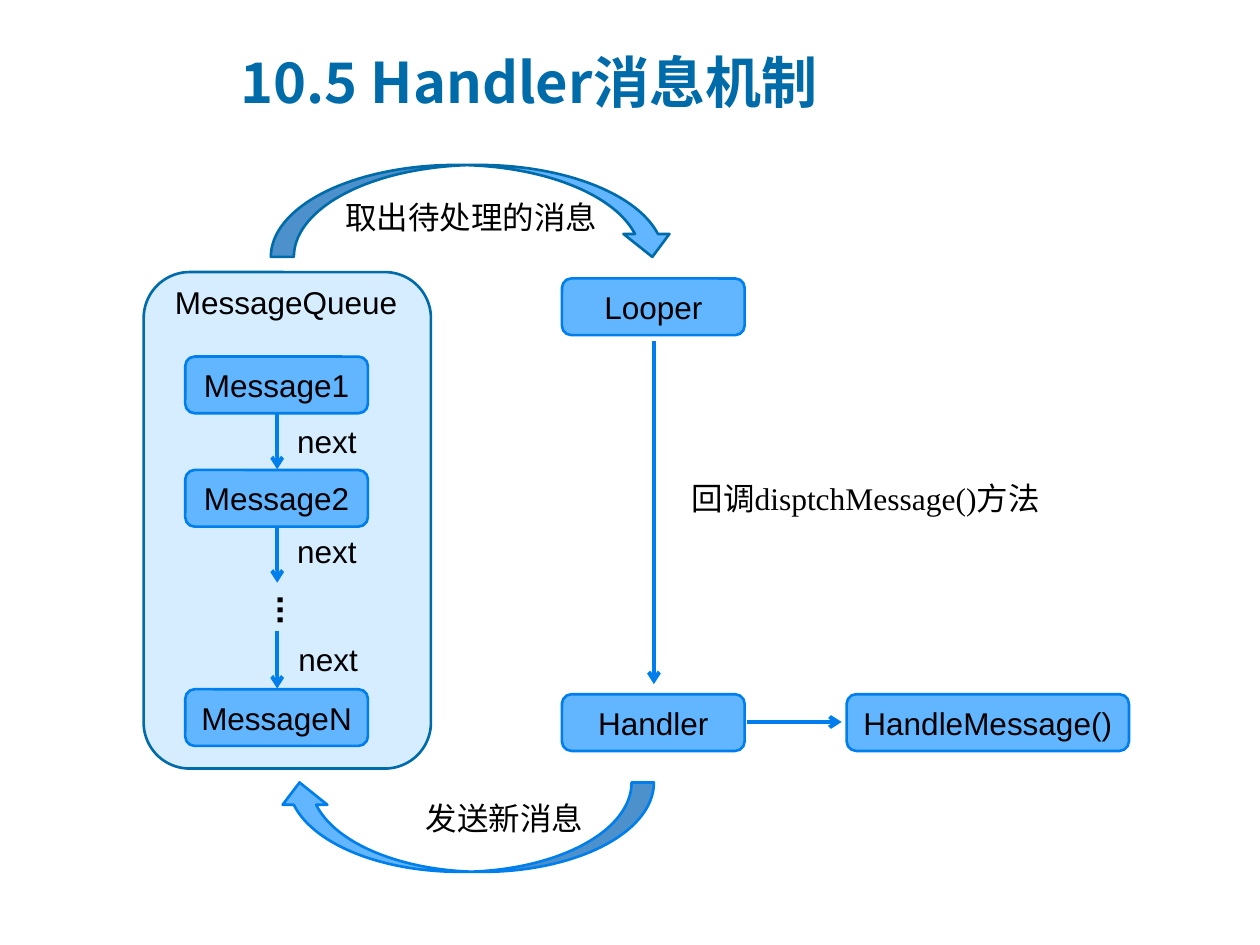
from dataclasses import dataclass

from lxml.etree import SubElement
from pptx import Presentation
from pptx.dml.color import RGBColor
from pptx.enum.shapes import MSO_CONNECTOR, MSO_SHAPE
from pptx.enum.text import MSO_ANCHOR, MSO_AUTO_SIZE, PP_ALIGN
from pptx.oxml.ns import qn
from pptx.slide import Slide
from pptx.text.text import TextFrame
from pptx.util import Inches, Pt


@dataclass(frozen=True)
class Theme:
    """Colours, fonts and type sizes of the slide."""
    dark: RGBColor = RGBColor(0x00, 0x6B, 0xA9)
    bright: RGBColor = RGBColor(0x00, 0x7E, 0xEB)
    node: RGBColor = RGBColor(0x61, 0xB6, 0xFF)
    panel: RGBColor = RGBColor(0xD6, 0xEC, 0xFF)
    ink: RGBColor = RGBColor(0x00, 0x00, 0x00)
    latin: str = "Arial"
    serif: str = "Times New Roman"
    asian: str = "Noto Sans CJK SC"
    title_size: int = 32
    body_size: int = 18
    dots_size: int = 20
    outline: float = 1.5
    arrow: float = 2.25


@dataclass(frozen=True)
class Box:
    """A rectangle in grid columns and rows."""
    column: float
    row: float
    columns: float
    rows: float


@dataclass(frozen=True)
class Node:
    """A rounded box with a centred name."""
    name: str
    column: float
    row: float
    columns: float = 14.5


@dataclass(frozen=True)
class Label:
    """A free text made of (text, font) runs."""
    runs: tuple[tuple[str, str], ...]
    box: Box
    wraps: bool = False


@dataclass(frozen=True)
class Arrow:
    """A straight arrow between two grid points."""
    start: tuple[float, float]
    end: tuple[float, float]


THEME = Theme()
GRID_COLUMNS, GRID_ROWS = 100, 75
CELL = Inches(0.1)
NODE_ROWS = 4.5
QUEUE_COLUMN, LOOP_COLUMN = 14.7, 44.6
QUEUE_AXIS, LOOP_AXIS = 22, 51.9

NODES = (
    Node("Message1", QUEUE_COLUMN, 28.3),
    Node("Message2", QUEUE_COLUMN, 37.3),
    Node("MessageN", QUEUE_COLUMN, 54.7),
    Node("Looper", LOOP_COLUMN, 22.1),
    Node("Handler", LOOP_COLUMN, 55.1),
    Node("HandleMessage()", 67.2, 55.1, 22.4),
)
ARROWS = (
    *(Arrow((QUEUE_AXIS, row), (QUEUE_AXIS, row + 4.55)) for row in (32.7, 41.7, 50.1)),
    Arrow((LOOP_AXIS, 27.1), (LOOP_AXIS, 54.3)),
    Arrow((59.3, 57.3), (66.8, 57.3)),
)
LABELS = (
    *(Label((("next", THEME.latin),), Box(column, row, 6.8, 4))
      for column, row in ((22.6, 33), (22.6, 41.7), (22.7, 50.3))),
    Label((("MessageQueue", THEME.latin),), Box(12.9, 22, 19.8, 4)),
    Label((("回", THEME.latin), ("调disptchMessage()", THEME.serif), ("方法", THEME.latin)),
          Box(53.9, 37.5, 29.9, 4), True),
    Label((("发送新消息", THEME.latin),), Box(32.8, 62.9, 14.6, 4)),
    Label((("取出待处理的消息", THEME.latin),), Box(26.4, 15.2, 22.2, 4)),
)


def place(box: Box) -> tuple[int, int, int, int]:
    """Turn a grid box into slide lengths."""
    return tuple(round(cells * CELL) for cells in (box.column, box.row, box.columns, box.rows))


def add_run(frame: TextFrame, text: str, font: str, size: int,
            color: RGBColor, bold: bool = False) -> None:
    """Append a formatted run to the first paragraph."""
    run = frame.paragraphs[0].add_run()
    run.text = text
    run.font.name, run.font.size, run.font.bold = font, Pt(size), bold
    run.font.color.rgb = color
    SubElement(run.font._element, qn("a:ea")).set("typeface", THEME.asian)


def add_title(slide: Slide, text: str, box: Box) -> None:
    """Move and format the title placeholder."""
    title = slide.shapes.title
    title.left, title.top, title.width, title.height = place(box)
    frame = title.text_frame
    frame.word_wrap = True
    frame.auto_size = MSO_AUTO_SIZE.NONE
    frame.vertical_anchor = MSO_ANCHOR.MIDDLE
    paragraph = frame.paragraphs[0]
    paragraph.alignment = PP_ALIGN.LEFT
    properties = paragraph._p.get_or_add_pPr()
    properties.set("marL", str(Inches(0.62)))
    properties.set("indent", str(Inches(-0.62)))
    add_run(frame, text, THEME.asian, THEME.title_size, THEME.dark, True)


def add_outlined(slide: Slide, kind: MSO_SHAPE, box: Box, fill: RGBColor, line: RGBColor):
    """Draw a filled preset shape with an outline."""
    shape = slide.shapes.add_shape(kind, *place(box))
    shape.shadow.inherit = False
    shape.fill.solid()
    shape.fill.fore_color.rgb = fill
    shape.line.color.rgb = line
    shape.line.width = Pt(THEME.outline)
    return shape


def add_node(slide: Slide, node: Node) -> None:
    """Draw a named rounded box."""
    box = Box(node.column, node.row, node.columns, NODE_ROWS)
    shape = add_outlined(slide, MSO_SHAPE.ROUNDED_RECTANGLE, box, THEME.node, THEME.bright)
    frame = shape.text_frame
    frame.vertical_anchor = MSO_ANCHOR.MIDDLE
    frame.paragraphs[0].alignment = PP_ALIGN.CENTER
    add_run(frame, node.name, THEME.latin, THEME.body_size, THEME.ink)


def add_curve(slide: Slide, box: Box, line: RGBColor, flip: str) -> None:
    """Draw a curved arrow flipped on one axis."""
    shape = add_outlined(slide, MSO_SHAPE.CURVED_UP_ARROW, box, THEME.node, line)
    shape._element.spPr.find(qn("a:xfrm")).set(flip, "1")


def add_arrow(slide: Slide, arrow: Arrow) -> None:
    """Draw a straight arrow with an open head."""
    points = [round(cells * CELL) for cells in (*arrow.start, *arrow.end)]
    connector = slide.shapes.add_connector(MSO_CONNECTOR.STRAIGHT, *points)
    connector.line.color.rgb = THEME.bright
    connector.line.width = Pt(THEME.arrow)
    SubElement(connector.line._get_or_add_ln(), qn("a:tailEnd")).set("type", "arrow")
    SubElement(connector._element.spPr, qn("a:effectLst"))


def add_text_frame(slide: Slide, box: Box, wraps: bool = False) -> TextFrame:
    """Add a text box that grows with its text."""
    frame = slide.shapes.add_textbox(*place(box)).text_frame
    frame.word_wrap = wraps
    frame.auto_size = MSO_AUTO_SIZE.SHAPE_TO_FIT_TEXT
    return frame


def add_label(slide: Slide, label: Label) -> None:
    """Write a label run by run."""
    frame = add_text_frame(slide, label.box, label.wraps)
    for text, font in label.runs:
        add_run(frame, text, font, THEME.body_size, THEME.ink)


def main() -> None:
    """Build and save the slide."""
    presentation = Presentation()
    presentation.slide_width = GRID_COLUMNS * CELL
    presentation.slide_height = GRID_ROWS * CELL
    slide = presentation.slides.add_slide(presentation.slide_layouts[5])
    add_title(slide, "10.5 Handler消息机制", Box(18.1, 2.2, 81.9, 8.4))
    queue = add_outlined(slide, MSO_SHAPE.ROUNDED_RECTANGLE, Box(11.4, 21.6, 22.8, 39.4),
                         THEME.panel, THEME.dark)
    queue.adjustments[0] = 0.16
    add_curve(slide, Box(21.5, 13.1, 32.1, 7.3), THEME.dark, "flipV")
    add_curve(slide, Box(22, 62.1, 29.9, 7.1), THEME.bright, "flipH")
    for arrow in ARROWS:
        add_arrow(slide, arrow)
    for node in NODES:
        add_node(slide, node)
    for label in LABELS:
        add_label(slide, label)
    dots = add_text_frame(slide, Box(19.9, 46.3, 5.4, 3.3))
    dots._txBody.bodyPr.set("vert", "eaVert")
    add_run(dots, "...", THEME.latin, THEME.dots_size, THEME.ink, True)
    presentation.save("out.pptx")


if __name__ == "__main__":
    main()
